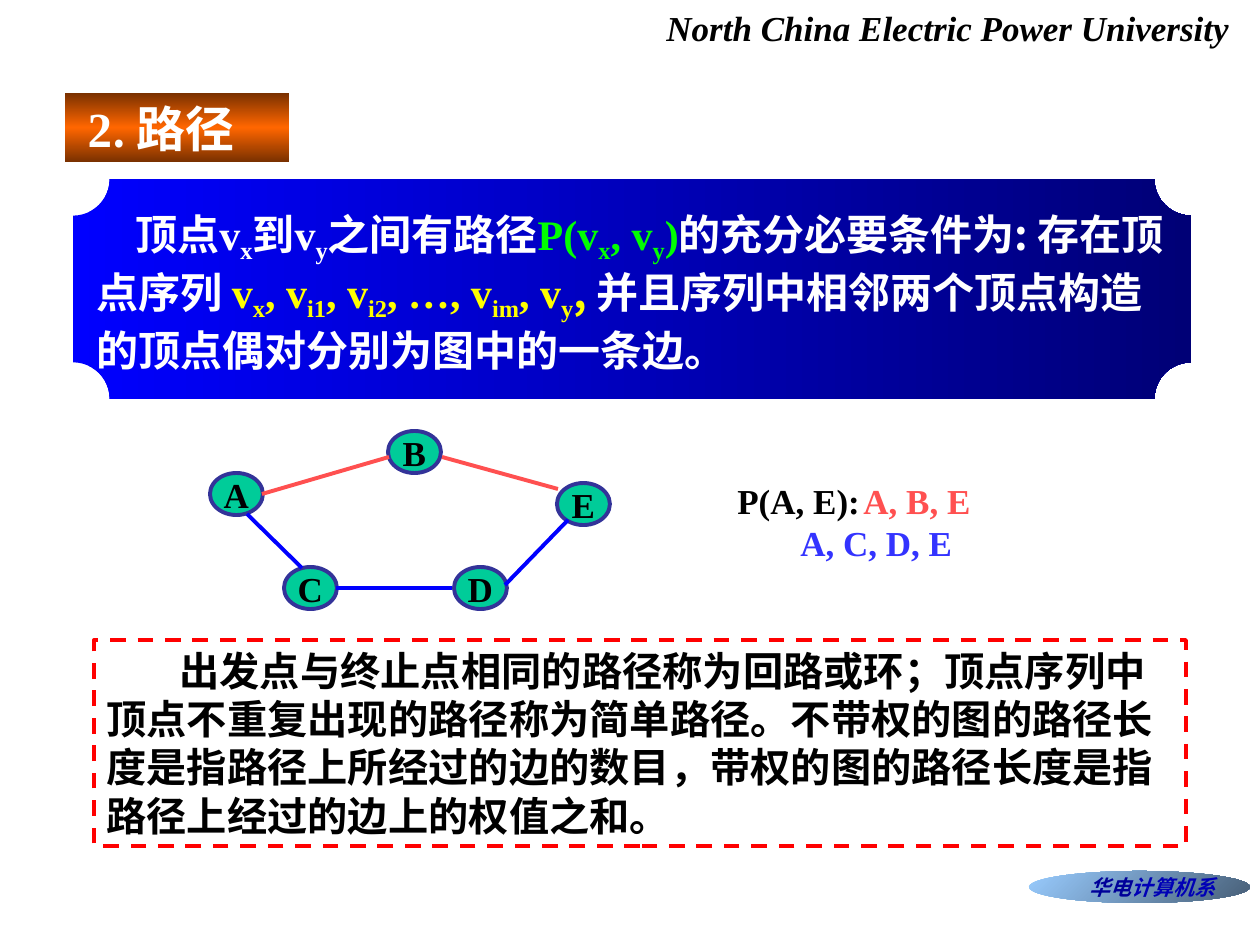
from lxml.etree import SubElement
from pptx import Presentation
from pptx.dml.color import RGBColor
from pptx.enum.dml import MSO_LINE
from pptx.enum.shapes import MSO_CONNECTOR, MSO_SHAPE
from pptx.enum.text import MSO_ANCHOR, MSO_AUTO_SIZE, PP_ALIGN
from pptx.oxml.ns import qn
from pptx.util import Emu, Pt

SCALE = 914400 / 126
SERIF = "Times New Roman"
SANS = "Noto Sans CJK SC"
COLORS = {
    "black": "000000", "white": "FFFFFF", "red": "FF0000", "blue": "0000FF",
    "navy": "000076", "brown": "762F00", "orange": "FF6600",
    "node": "00CC99", "node_line": "333399", "coral": "FF5050",
    "violet": "3333FF", "green": "00FF00", "yellow": "FFFF00",
    "sky": "99CCFF", "slate": "475E76", "label": "000099", "label_end": "0000B6",
}


def px(value):
    return Emu(round(value * SCALE))


def rgb(name):
    return RGBColor.from_string(COLORS[name])


class SlideBuilder:
    def __init__(self, slide):
        self.slide = slide

    def outline(self, shape, color, width=2.25):
        shape.line.color.rgb = rgb(color)
        shape.line.width = Pt(width)

    def gradient(self, shape, colors, angle):
        """Fill with evenly spaced stops; the angle runs clockwise."""
        shape.fill.gradient()
        shape.fill.gradient_angle = (360 - angle) % 360
        stops = shape._element.spPr.find(qn("a:gradFill")).find(qn("a:gsLst"))
        for stop in list(stops):
            stops.remove(stop)
        for index, color in enumerate(colors):
            position = round(100000 * index / (len(colors) - 1))
            stop = SubElement(stops, qn("a:gs"), pos=str(position))
            SubElement(stop, qn("a:srgbClr"), val=COLORS[color])

    def add_runs(self, paragraph, pieces, size, italic=False):
        """Add (text, font, color[, size]) pieces; _x_ marks a subscript."""
        for text, font, color, *own_size in pieces:
            for index, part in enumerate(text.split("_")):
                if not part:
                    continue
                run = paragraph.add_run()
                run.text = part
                run.font.name = font
                run.font.size = Pt(own_size[0] if own_size else size)
                run.font.bold = True
                run.font.italic = italic
                run.font.color.rgb = rgb(color)
                properties = run._r.get_or_add_rPr()
                SubElement(properties, qn("a:ea"), typeface=SANS)
                if index % 2:
                    properties.set("baseline", "-20000")

    def indent(self, paragraph, first_line):
        properties = paragraph._p.get_or_add_pPr()
        properties.set("marL", "0")
        properties.set("indent", str(px(first_line)))

    def title(self, box, pieces, size, first_line):
        shape = self.slide.shapes.title
        shape.left, shape.top, shape.width, shape.height = map(px, box)
        frame = shape.text_frame
        frame.auto_size = MSO_AUTO_SIZE.NONE
        frame.vertical_anchor = MSO_ANCHOR.TOP
        paragraph = frame.paragraphs[0]
        paragraph.alignment = PP_ALIGN.LEFT
        self.indent(paragraph, first_line)
        self.add_runs(paragraph, pieces, size)
        return shape

    def text(self, box, lines, size, wrap=True, italic=False,
             first_line=0, tab=None, spacing=None):
        shape = self.slide.shapes.add_textbox(*map(px, box))
        frame = shape.text_frame
        frame.word_wrap = wrap
        for index, pieces in enumerate(lines):
            paragraph = frame.add_paragraph() if index else frame.paragraphs[0]
            self.indent(paragraph, first_line)
            if tab:
                tabs = SubElement(paragraph._p.get_or_add_pPr(), qn("a:tabLst"))
                SubElement(tabs, qn("a:tab"), pos=str(px(tab)), algn="l")
            if spacing:
                paragraph.line_spacing = spacing
            self.add_runs(paragraph, pieces, size, italic)
        return shape

    def shape(self, kind, box):
        shape = self.slide.shapes.add_shape(kind, *map(px, box))
        shape.shadow.inherit = False
        shape.line.fill.background()
        return shape

    def centred(self, shape, pieces, size, italic=False):
        frame = shape.text_frame
        frame.word_wrap = False
        frame.vertical_anchor = MSO_ANCHOR.MIDDLE
        paragraph = frame.paragraphs[0]
        paragraph.alignment = PP_ALIGN.CENTER
        self.add_runs(paragraph, pieces, size, italic)

    def node(self, name, left, top):
        shape = self.shape(MSO_SHAPE.OVAL, (left, top, 53, 42))
        shape.fill.solid()
        shape.fill.fore_color.rgb = rgb("node")
        self.outline(shape, "node_line")
        self.centred(shape, [(name, SERIF, "black")], 20)

    def edge(self, color, *ends):
        line = self.slide.shapes.add_connector(MSO_CONNECTOR.STRAIGHT, *map(px, ends))
        self.outline(line, color)
        SubElement(line._element.spPr, qn("a:effectLst"))


def main():
    presentation = Presentation()
    presentation.slide_width, presentation.slide_height = px(1260), px(945)
    builder = SlideBuilder(presentation.slides.add_slide(presentation.slide_layouts[5]))

    builder.text((654, 0, 588, 55),
                 [[("North China Electric Power University", SERIF, "black")]],
                 20, wrap=False, italic=True)

    title = builder.title((64, 92, 226, 71), [
        ("2", SERIF, "white"), (".", SANS, "white", 24), (" 路径", SANS, "white"),
    ], 28, first_line=11)
    builder.gradient(title, ["brown", "orange", "brown"], 90)
    builder.outline(title, "white", 1)

    plaque = builder.shape(MSO_SHAPE.PLAQUE, (73, 179, 1118, 220))
    builder.gradient(plaque, ["blue", "navy"], 0)
    builder.text((84, 200, 1103, 181), [[
        ("顶点", SANS, "white"), ("v_x_", SERIF, "white"),
        ("到", SANS, "white"), ("v_y_", SERIF, "white"),
        ("之间有路径", SANS, "white"), ("P(v_x_, v_y_)", SERIF, "green"),
        ("的充分必要条件为: 存在顶点序列 ", SANS, "white"),
        ("v_x_, v_i1_, v_i2_, …, v_im_, v_y_", SERIF, "yellow"),
        (", ", SANS, "yellow"),
        ("并且序列中相邻两个顶点构造的顶点偶对分别为图中的一条边。", SANS, "white"),
    ]], 24, first_line=39, spacing=1.05)

    for name, left, top in [("A", 210, 473), ("B", 388, 431), ("C", 284, 567),
                            ("D", 454, 567), ("E", 557, 483)]:
        builder.node(name, left, top)
    for color, *ends in [
        ("coral", 262, 494, 389, 457), ("coral", 442, 457, 558, 489),
        ("blue", 247, 514, 302, 568), ("blue", 336, 588, 452, 588),
        ("blue", 505, 585, 568, 520),
    ]:
        builder.edge(color, *ends)

    builder.text((725, 473, 326, 97), [
        [("P(A, E):\t", SERIF, "black"), ("A, B, E", SERIF, "coral")],
        [("\tA, C, D, E", SERIF, "violet")],
    ], 20, wrap=False, tab=147)

    summary = builder.text((94, 640, 1092, 206), [[
        ("出发点与终止点相同的路径称为回路或环；顶点序列中顶点不重复出现的路径称为简单路径。"
         "不带权的图的路径长度是指路径上所经过的边的数目，"
         "带权的图的路径长度是指路径上经过的边上的权值之和。", SERIF, "black"),
    ]], 23, first_line=73)
    builder.outline(summary, "red")
    summary.line.dash_style = MSO_LINE.DASH

    department = builder.shape(MSO_SHAPE.OVAL, (1029, 871, 221, 32))
    builder.gradient(department, ["sky", "slate"], 45)
    frame = department.text_frame
    frame.margin_left = px(26)
    frame.margin_right = frame.margin_top = frame.margin_bottom = 0
    builder.centred(department, [("华电", SANS, "label"), ("计算机系", SANS, "label_end")],
                    12, italic=True)

    presentation.save("out.pptx")


if __name__ == "__main__":
    main()
